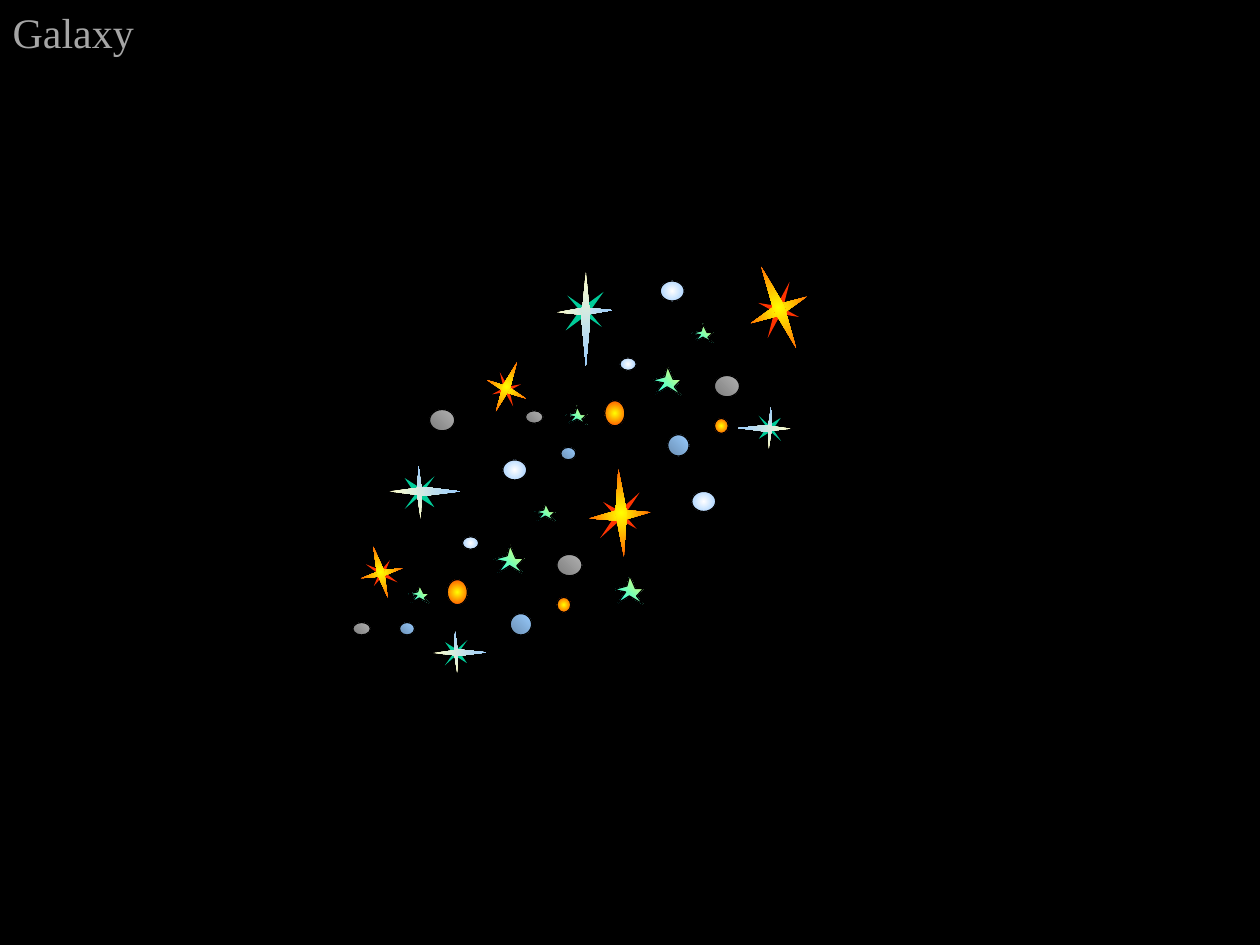
from lxml import etree
from pptx import Presentation
from pptx.dml.color import RGBColor
from pptx.enum.shapes import MSO_SHAPE
from pptx.enum.text import MSO_ANCHOR, MSO_AUTO_SIZE, PP_ALIGN
from pptx.oxml.ns import qn
from pptx.util import Inches, Pt

OVAL = MSO_SHAPE.OVAL
TOP, LEFT = MSO_ANCHOR.TOP, PP_ALIGN.LEFT
NO_AUTOFIT = MSO_AUTO_SIZE.NONE

BLACK = RGBColor(0x00, 0x00, 0x00)
TITLE_GRAY = RGBColor(0xA5, 0xA5, 0xA5)
WHITE = RGBColor(0xFF, 0xFF, 0xFF)
YELLOW = RGBColor(0xFF, 0xFF, 0x00)
ORANGE = RGBColor(0xFF, 0x66, 0x00)
RED = RGBColor(0xFF, 0x33, 0x00)
CREAM = RGBColor(0xFF, 0xFF, 0xCC)
SKY = RGBColor(0x99, 0xCC, 0xFF)
STEEL = RGBColor(0x6B, 0x8F, 0xB3)
SILVER = RGBColor(0xB2, 0xB2, 0xB2)
GRAY = RGBColor(0x7D, 0x7D, 0x7D)
GREEN = RGBColor(0x00, 0xCC, 0x99)
CYAN = RGBColor(0x00, 0xFF, 0xFF)
LEMON = RGBColor(0xFF, 0xFF, 0x66)

# Focus of a circular gradient: left, top, right, bottom in percent
CENTER = (50, 50, 50, 50)
TOP_RIGHT = (100, 0, 0, 100)

# Planet kinds: colours, gradient focus, width, height, mirrored
SUN = (YELLOW, RED, CENTER, 0.16, 0.2, False)
SMALL_SUN = (YELLOW, RED, CENTER, 0.11, 0.12, False)
ROCK = (SILVER, GRAY, TOP_RIGHT, 0.2, 0.17, True)
SMALL_ROCK = (SILVER, GRAY, TOP_RIGHT, 0.14, 0.1, False)
OCEAN = (SKY, STEEL, TOP_RIGHT, 0.17, 0.17, True)
SMALL_OCEAN = (SKY, STEEL, TOP_RIGHT, 0.12, 0.1, False)
ICE = (WHITE, SKY, CENTER, 0.19, 0.16, False)
SMALL_ICE = (WHITE, SKY, CENTER, 0.13, 0.1, False)

# Star sizes and outline in fractions of the size
STAR, SMALL_STAR = (0.24, 0.24), (0.17, 0.15)
STAR_OUTLINE = [(0.54, 0), (0.44, 0.38), (0, 0.5), (0.4, 0.58), (0.12, 0.96), (0.52, 0.71),
                (1, 1), (0.76, 0.71), (1, 0.46), (0.72, 0.46), (0.52, 0)]
BLADE_OUTLINE = [(0.5, 0), (0, 0.5), (0.5, 1), (1, 0.5)]

# Angles of the two back blades and the cross blade from the long blade
BLADE_ANGLES = (-47.7, 44.5, -92.2, 0)

# Sparkle sizes: width and height of two back blades, cross blade, long blade
HOT = ((0.06, 0.34), (0.06, 0.48), (0.09, 0.49), (0.09, 0.7))
SMALL_HOT = ((0.04, 0.24), (0.04, 0.29), (0.05, 0.34), (0.06, 0.42))
TALL_COOL = ((0.05, 0.37), (0.07, 0.43), (0.06, 0.44), (0.07, 0.75))
COOL = ((0.04, 0.35), (0.07, 0.33), (0.04, 0.42), (0.07, 0.56))
SMALL_COOL = ((0.03, 0.27), (0.05, 0.24), (0.03, 0.33), (0.05, 0.42))

# The cluster appears twice, at these offsets
CLUSTER_OFFSETS = [(0, 0), (-1.25, 1.42)]
CLUSTER_PLANETS = [(SUN, 4.8, 3.18), (ROCK, 5.67, 2.98), (OCEAN, 5.3, 3.45),
                   (ICE, 5.24, 2.23), (SMALL_SUN, 5.67, 3.32), (SMALL_ICE, 4.92, 2.84)]
CLUSTER_STARS = [(STAR, 5.17, 2.9), (SMALL_STAR, 4.49, 3.22), (SMALL_STAR, 5.49, 2.57)]

SINGLE_PLANETS = [(SMALL_ROCK, 4.17, 3.26), (SMALL_OCEAN, 4.45, 3.55), (SMALL_ROCK, 2.8, 4.94),
                  (SMALL_OCEAN, 3.17, 4.94), (ICE, 5.49, 3.9), (ROCK, 3.41, 3.25)]

# Sizes, hub, centre of the long blade, its angle, turning direction
HOT_SPARKLES = [
    (HOT, (6.18, 2.46), (6.18, 2.44), 336.8, 1),
    (SMALL_HOT, (4.02, 3.09), (4.02, 3.07), 23.2, -1),
    (HOT, (4.92, 4.09), (4.93, 4.07), 356.4, 1),
    (SMALL_HOT, (3.03, 4.55), (3.02, 4.54), 344.2, -1),
]
COOL_SPARKLES = [
    (TALL_COOL, (4.64, 2.47), (4.65, 2.53), 0, 1),
    (SMALL_COOL, (6.11, 3.4), (6.07, 3.4), 90.7, -1),
    (COOL, (3.33, 3.91), (3.37, 3.9), 270, 1),
    (SMALL_COOL, (3.62, 5.18), (3.65, 5.18), 269.3, 1),
]


class GalaxySlide:
    font_name = "Times New Roman"

    def __init__(self, presentation):
        self.slide = presentation.slides.add_slide(presentation.slide_layouts[5])
        background = self.slide.background.fill
        background.solid()
        background.fore_color.rgb = BLACK
        self.shapes = self.slide.shapes.add_group_shape().shapes

    def title(self, text, width, height):
        title = self.slide.shapes.title
        title.left, title.top = Inches(0), Inches(0)
        title.width, title.height = Inches(width), Inches(height)
        frame = title.text_frame
        frame.text = text
        frame.word_wrap = False
        frame.auto_size = NO_AUTOFIT
        frame.vertical_anchor = TOP
        paragraph = frame.paragraphs[0]
        paragraph.alignment = LEFT
        paragraph.font.name = self.font_name
        paragraph.font.size = Pt(24)
        paragraph.font.color.rgb = TITLE_GRAY

    def gradient(self, shape, start, end, angle=0, focus=None):
        """Fill with a linear gradient, or a circular one if a focus is given."""
        shape.fill.gradient()
        for stop, color in zip(shape.fill.gradient_stops, (start, end)):
            stop.color.rgb = color
        shape.fill.gradient_angle = angle
        if focus:
            gradient = shape._element.spPr.find(qn("a:gradFill"))
            gradient.remove(gradient.find(qn("a:lin")))
            circle = etree.SubElement(gradient, qn("a:path"), {"path": "circle"})
            sides = {side: str(percent * 1000) for side, percent in zip("ltrb", focus)}
            etree.SubElement(circle, qn("a:fillToRect"), sides)

    def outline(self, shape):
        shape.shadow.inherit = False
        shape.line.color.rgb = BLACK
        shape.line.width = Pt(0.75)

    def planet(self, kind, left, top):
        start, end, focus, width, height, mirrored = kind
        shape = self.shapes.add_shape(OVAL, Inches(left), Inches(top),
                                      Inches(width), Inches(height))
        self.gradient(shape, start, end, focus=focus)
        self.outline(shape)
        if mirrored:
            shape._element.spPr.find(qn("a:xfrm")).set("flipH", "1")

    def polygon(self, fractions, left, top, width, height):
        points = [(Inches(left + x * width), Inches(top + y * height)) for x, y in fractions]
        builder = self.shapes.build_freeform(*points[0])
        builder.add_line_segments(points[1:], close=True)
        return builder.convert_to_shape()

    def star(self, size, left, top):
        shape = self.polygon(STAR_OUTLINE, left, top, *size)
        self.gradient(shape, CYAN, LEMON, angle=45)
        self.outline(shape)

    def sparkle(self, back_color, front, sizes, hub, long_center, angle, direction):
        """Draw two plain back blades under two gradient front blades."""
        centers = (hub, hub, hub, long_center)
        for index, ((x, y), (width, height)) in enumerate(zip(centers, sizes)):
            blade = self.polygon(BLADE_OUTLINE, x - width / 2, y - height / 2, width, height)
            blade.rotation = (angle + direction * BLADE_ANGLES[index]) % 360
            blade.shadow.inherit = False
            blade.line.fill.background()
            if index < 2:
                blade.fill.solid()
                blade.fill.fore_color.rgb = back_color
            else:
                self.gradient(blade, **front)


def main():
    presentation = Presentation()
    presentation.slide_width, presentation.slide_height = Inches(10), Inches(7.5)
    galaxy = GalaxySlide(presentation)
    galaxy.title("Galaxy", 1.17, 0.5)

    for x, y in CLUSTER_OFFSETS:
        for kind, left, top in CLUSTER_PLANETS:
            galaxy.planet(kind, left + x, top + y)
        for size, left, top in CLUSTER_STARS:
            galaxy.star(size, left + x, top + y)
    for planet in SINGLE_PLANETS:
        galaxy.planet(*planet)
    galaxy.star(STAR, 4.87, 4.56)

    for sparkle in HOT_SPARKLES:
        galaxy.sparkle(RED, {"start": YELLOW, "end": ORANGE, "focus": CENTER}, *sparkle)
    for sparkle in COOL_SPARKLES:
        galaxy.sparkle(GREEN, {"start": CREAM, "end": SKY, "angle": 270}, *sparkle)

    presentation.save("out.pptx")


if __name__ == "__main__":
    main()
